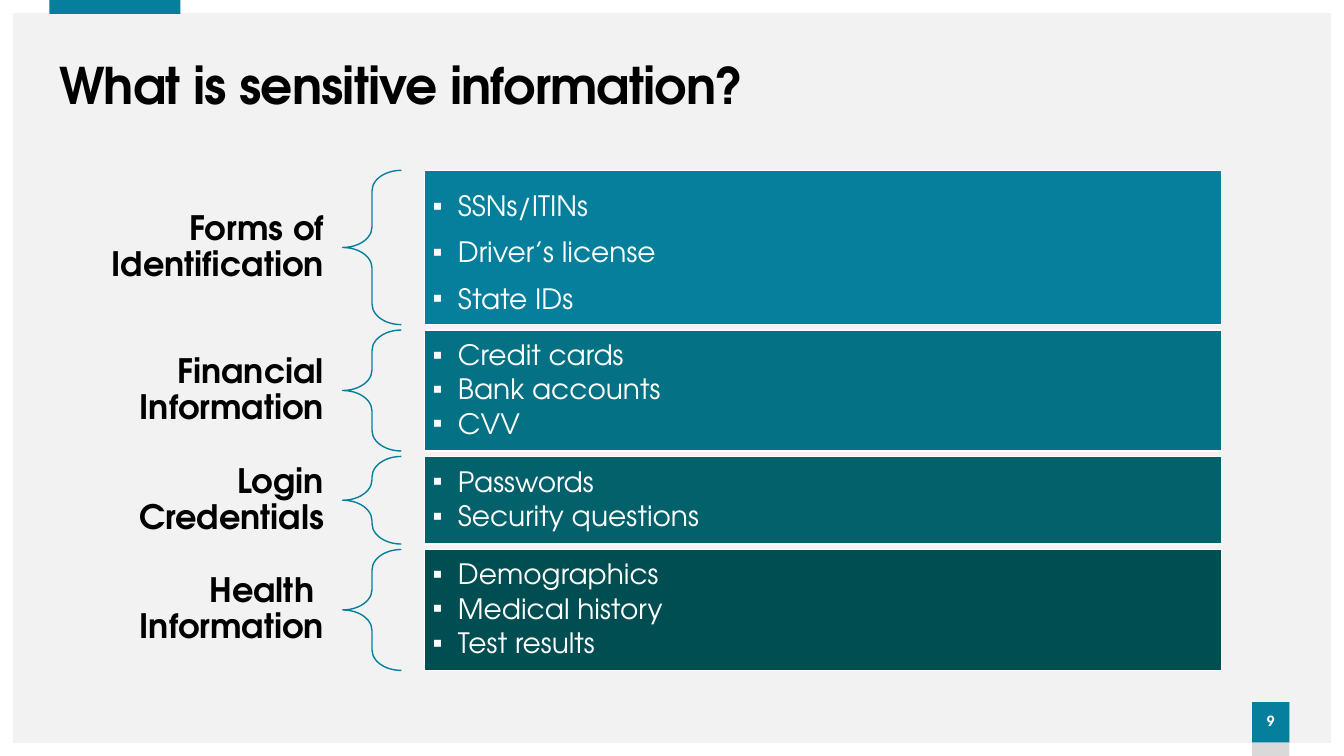
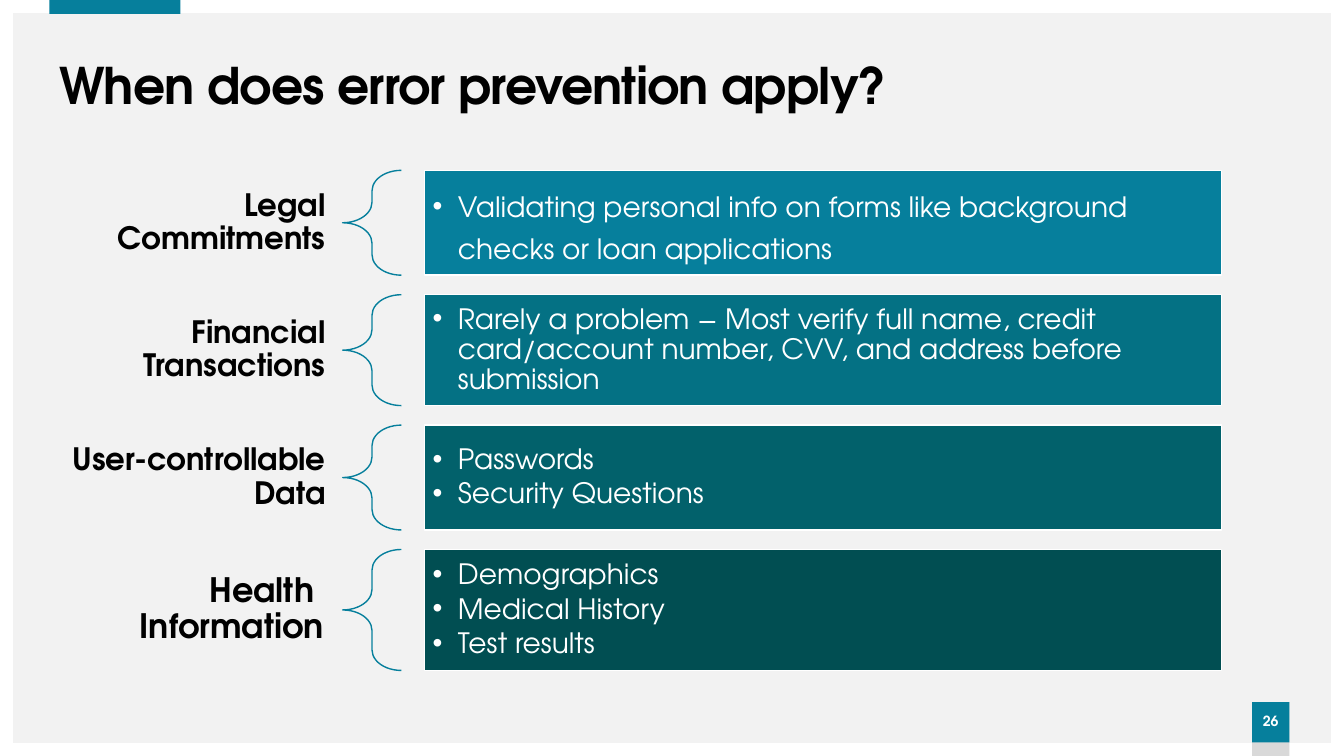
"""Build two slides that sort kinds of information into braced, coloured panels."""
import dataclasses

import lxml.etree
import pptx
import pptx.dml.color
import pptx.enum.shapes
import pptx.enum.text
import pptx.oxml.ns
import pptx.util

Pt = pptx.util.Pt
ALIGN = pptx.enum.text.PP_ALIGN
SHAPE = pptx.enum.shapes.MSO_SHAPE


@dataclasses.dataclass(frozen=True)
class Theme:
    """Colours, font and type sizes of the deck."""
    font: str = "TeX Gyre Adventor"
    paper: str = "F2F2F2"
    white: str = "FFFFFF"
    ink: str = "000000"
    shade: str = "D9D9D9"
    accent: str = "067F9C"
    panels: tuple = ("067F9C", "047184", "02616B", "014E52")
    title_size: int = 36
    list_size: int = 20
    number_size: int = 10


THEME = Theme()

SLIDES = [
    {
        "title": "What is sensitive information?",
        "number": "9",
        "bullet": "▪",
        "rows": [
            ("Forms of Identification", 24, 110.2,
             ["SSNs/ITINs", "Driver’s license", "State IDs"]),
            ("Financial Information", 24, 86.4,
             ["Credit cards", "Bank accounts", "CVV"]),
            ("Login Credentials", 24, 62.6,
             ["Passwords", "Security questions"]),
            ("Health \vInformation", 24, 86.4,
             ["Demographics", "Medical history", "Test results"]),
        ],
    },
    {
        "title": "When does error prevention apply?",
        "number": "26",
        "bullet": "•",
        "rows": [
            ("Legal Commitments", 22, 74.9,
             ["Validating personal info on forms like background checks "
              "or loan applications"]),
            ("Financial Transactions", 22, 79.2,
             ["Rarely a problem − Most verify full name, credit card/account "
              "number, CVV, and address before submission"]),
            ("User-controllable Data", 22, 74.9,
             ["Passwords", "Security Questions"]),
            ("Health \vInformation", 24, 86.4,
             ["Demographics", "Medical History", "Test results"]),
        ],
    },
]

WIDTH, HEIGHT = 960, 540
TITLE_BOX = (35.3, 39.6, 880, 46.8)
BADGE_LEFT, BADGE_TOP, BADGE_WIDTH, BADGE_HEIGHT = 894.4, 501.6, 26.6, 28.8
ROWS_TOP, ROWS_HEIGHT = 121.7, 357.2
LABEL_LEFT, LABEL_WIDTH = 35.3, 209.5
BRACE_LEFT, BRACE_WIDTH = 244.8, 41.9
PANEL_LEFT, PANEL_WIDTH = 303.4, 569.2
PANEL_INSET, BULLET_INDENT = 5.7, 18


def apply(target, values):
    for name, value in values.items():
        setattr(target, name, value)


def rgb(colour):
    return pptx.dml.color.RGBColor.from_string(colour)


def place(part, left, top, width, height):
    apply(part, {"left": Pt(left), "top": Pt(top),
                 "width": Pt(width), "height": Pt(height)})


def paint(part, fill=None, line=None):
    for surface, colour in ((part.fill, fill), (part.line.fill, line)):
        if colour:
            surface.solid()
            surface.fore_color.rgb = rgb(colour)
        else:
            surface.background()
    if line:
        part.line.width = Pt(1)


def add_figure(slide, kind, box, fill=None, line=None, adjust=()):
    figure = slide.shapes.add_shape(kind, *map(Pt, box))
    figure.shadow.inherit = False
    paint(figure, fill, line)
    for index, value in enumerate(adjust):
        figure.adjustments[index] = value
    return figure


def set_frame(frame, side, edge):
    apply(frame, {
        "word_wrap": True,
        "auto_size": pptx.enum.text.MSO_AUTO_SIZE.NONE,
        "vertical_anchor": pptx.enum.text.MSO_ANCHOR.MIDDLE,
        "margin_left": Pt(side), "margin_right": Pt(side),
        "margin_top": Pt(edge), "margin_bottom": Pt(edge),
    })


def write(paragraph, text, size, colour, bold=True, align=ALIGN.LEFT,
          spacing=0.9, after=0):
    paragraph.text = text
    apply(paragraph, {"alignment": align, "line_spacing": spacing,
                      "space_before": Pt(0), "space_after": Pt(after)})
    for run in paragraph.runs:
        apply(run.font, {"name": THEME.font, "size": Pt(size), "bold": bold})
        run.font.color.rgb = rgb(colour)


def add_bullet(paragraph, mark):
    properties = paragraph._p.get_or_add_pPr()
    properties.set("marL", str(Pt(BULLET_INDENT)))
    properties.set("indent", str(-Pt(BULLET_INDENT)))
    bullet = lxml.etree.SubElement(properties, pptx.oxml.ns.qn("a:buChar"))
    bullet.set("char", mark)


def decorate(layout, slide):
    layout.background.fill.solid()
    layout.background.fill.fore_color.rgb = rgb(THEME.paper)
    bands = [
        (SHAPE.FRAME, (0, 0, WIDTH, HEIGHT), THEME.white, (0.017,)),
        (SHAPE.RECTANGLE, (35.3, 0, 93.6, 10), THEME.accent, ()),
        (SHAPE.RECTANGLE, (BADGE_LEFT, BADGE_TOP, BADGE_WIDTH, HEIGHT - BADGE_TOP),
         THEME.shade, ()),
    ]
    for number, (kind, box, fill, adjust) in enumerate(bands, 100):
        band = add_figure(slide, kind, box, fill, adjust=adjust).element
        band.nvSpPr.cNvPr.id = number
        layout.shapes.element.append(band)


def add_heading(slide, content):
    title = slide.shapes.title
    place(title, *TITLE_BOX)
    set_frame(title.text_frame, 7.2, 3.6)
    heading = title.text_frame.paragraphs[0]
    write(heading, content["title"], THEME.title_size, THEME.ink)
    heading.runs[0].font._element.set("spc", "-60")

    badge = add_figure(slide, SHAPE.RECTANGLE,
                       (BADGE_LEFT, BADGE_TOP, BADGE_WIDTH, BADGE_HEIGHT), THEME.accent)
    set_frame(badge.text_frame, 0, 3.6)
    write(badge.text_frame.paragraphs[0], content["number"],
          THEME.number_size, THEME.white, align=ALIGN.CENTER)


def fill_panel(panel, items, mark, spacing):
    frame = panel.text_frame
    set_frame(frame, PANEL_INSET, PANEL_INSET)
    for index, item in enumerate(items):
        paragraph = frame.add_paragraph() if index else frame.paragraphs[0]
        add_bullet(paragraph, mark)
        write(paragraph, item, THEME.list_size, THEME.white, bold=False,
              spacing=spacing, after=3)


def add_rows(slide, content):
    rows = content["rows"]
    heights = [height for _, _, height, _ in rows]
    gap = (ROWS_HEIGHT - sum(heights)) / (len(rows) - 1)
    label_height = min(heights)
    panels = [body for body in slide.placeholders
              if body.placeholder_format.idx > 0]
    top = ROWS_TOP
    for index, (name, size, height, items) in enumerate(rows):
        label = slide.shapes.add_textbox(
            Pt(LABEL_LEFT), Pt(top + (height - label_height) / 2),
            Pt(LABEL_WIDTH), Pt(label_height))
        set_frame(label.text_frame, size * 0.56, size * 0.2)
        write(label.text_frame.paragraphs[0], name, size, THEME.ink, align=ALIGN.RIGHT)

        add_figure(slide, SHAPE.LEFT_BRACE, (BRACE_LEFT, top, BRACE_WIDTH, height),
                   line=THEME.accent, adjust=(0.35, 0.5))

        panel = panels[index]
        place(panel, PANEL_LEFT, top, PANEL_WIDTH, height)
        paint(panel, THEME.panels[index], THEME.white)
        fill_panel(panel, items, content["bullet"], 0.9 if index else 1.25)
        top += height + gap


def main():
    deck = pptx.Presentation()
    apply(deck, {"slide_width": Pt(WIDTH), "slide_height": Pt(HEIGHT)})
    layout = deck.slide_layouts.get_by_name("Comparison")
    for index, content in enumerate(SLIDES):
        slide = deck.slides.add_slide(layout)
        if index == 0:
            decorate(layout, slide)
        add_heading(slide, content)
        add_rows(slide, content)
    deck.save("out.pptx")


if __name__ == "__main__":
    main()
